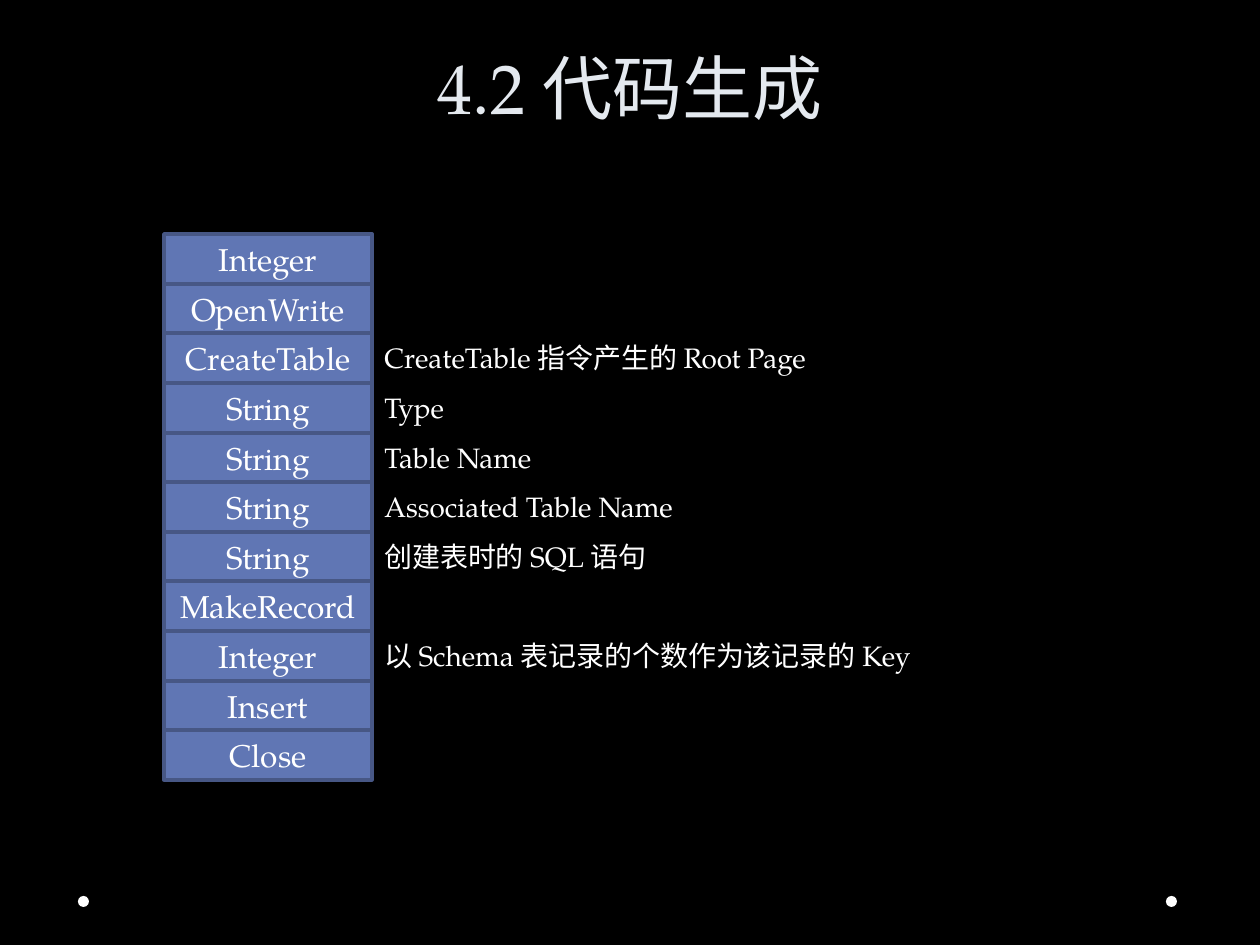
from dataclasses import dataclass

from pptx import Presentation, util as u
from pptx.dml.color import RGBColor
from pptx.enum import shapes as sh, text as tx

PX = 914400 // 126


@dataclass(frozen=True)
class Theme:
    """Colours, font and type sizes of the slide."""
    back: str = "000000"
    head: str = "E4E9EF"
    ink: str = "FFFFFF"
    fill: str = "6076B4"
    edge: str = "475785"
    font: str = "TeX Gyre Pagella"
    title: int = 40
    code: int = 18
    note: int = 16


THEME = Theme()
STEPS = [
    ("Integer", ""),
    ("OpenWrite", ""),
    ("CreateTable", "CreateTable 指令产生的 Root Page"),
    ("String", "Type"),
    ("String", "Table Name"),
    ("String", "Associated Table Name"),
    ("String", "创建表时的 SQL 语句"),
    ("MakeRecord", ""),
    ("Integer", "以 Schema 表记录的个数作为该记录的 Key"),
    ("Insert", ""),
    ("Close", ""),
]


def scale(box):
    """Turn a box in pixels into EMU."""
    return [u.Emu(side * PX) for side in box]


def paint(shape, fill, edge=None):
    """Give a shape a flat fill and an optional edge."""
    shape.shadow.inherit = False
    shape.fill.solid()
    shape.fill.fore_color.rgb = RGBColor.from_string(fill)
    if edge:
        shape.line.color.rgb = RGBColor.from_string(edge)
        shape.line.width = u.Pt(2)
    else:
        shape.line.fill.background()


def write(shape, words, size, color, align, anchor):
    """Set one line of text in a shape and return its paragraph."""
    frame = shape.text_frame
    frame.text = words
    frame.word_wrap = True
    frame.vertical_anchor = anchor
    line = frame.paragraphs[0]
    line.alignment = align
    font = line.runs[0].font
    font.name = THEME.font
    font.size = u.Pt(size)
    font.color.rgb = RGBColor.from_string(color)
    return line


def add_title(slide, box, words):
    """Place the slide title at the foot of its box."""
    shape = slide.shapes.add_textbox(*scale(box))
    line = write(shape, words, THEME.title, THEME.head,
                 tx.PP_ALIGN.CENTER, tx.MSO_ANCHOR.BOTTOM)
    line.line_spacing = u.Pt(58)


def add_steps(slide, box, steps):
    """Stack the instructions in a column with notes to their right."""
    left, top, width, height = box
    wide, tall = 208, 47
    for index, (code, note) in enumerate(steps):
        y = top + round(index * height / len(steps))
        cell = slide.shapes.add_shape(
            sh.MSO_SHAPE.RECTANGLE, *scale((left, y, wide, 50)))
        paint(cell, THEME.fill, THEME.edge)
        write(cell, code, THEME.code, THEME.ink,
              tx.PP_ALIGN.CENTER, tx.MSO_ANCHOR.MIDDLE)
        if note:
            label = slide.shapes.add_textbox(
                *scale((left + wide, y + 1, width - wide, tall)))
            write(label, note, THEME.note, THEME.ink,
                  tx.PP_ALIGN.LEFT, tx.MSO_ANCHOR.TOP)


def add_dots(slide, box):
    """Place a round dot at each end of the box."""
    left, top, width, size = box
    for x in (left, left + width - size):
        dot = slide.shapes.add_shape(
            sh.MSO_SHAPE.OVAL, *scale((x, top, size, size)))
        paint(dot, THEME.ink)


def build():
    """Build the slide and save it."""
    deck = Presentation()
    deck.slide_width, deck.slide_height = scale((1260, 945))
    slide = deck.slides.add_slide(deck.slide_layouts[6])
    back = slide.background.fill
    back.solid()
    back.fore_color.rgb = RGBColor.from_string(THEME.back)
    add_dots(slide, (78, 896, 1099, 11))
    add_title(slide, (63, 0, 1134, 135), "4.2 代码生成")
    add_steps(slide, (164, 234, 942, 546), STEPS)
    deck.save("out.pptx")


build()
